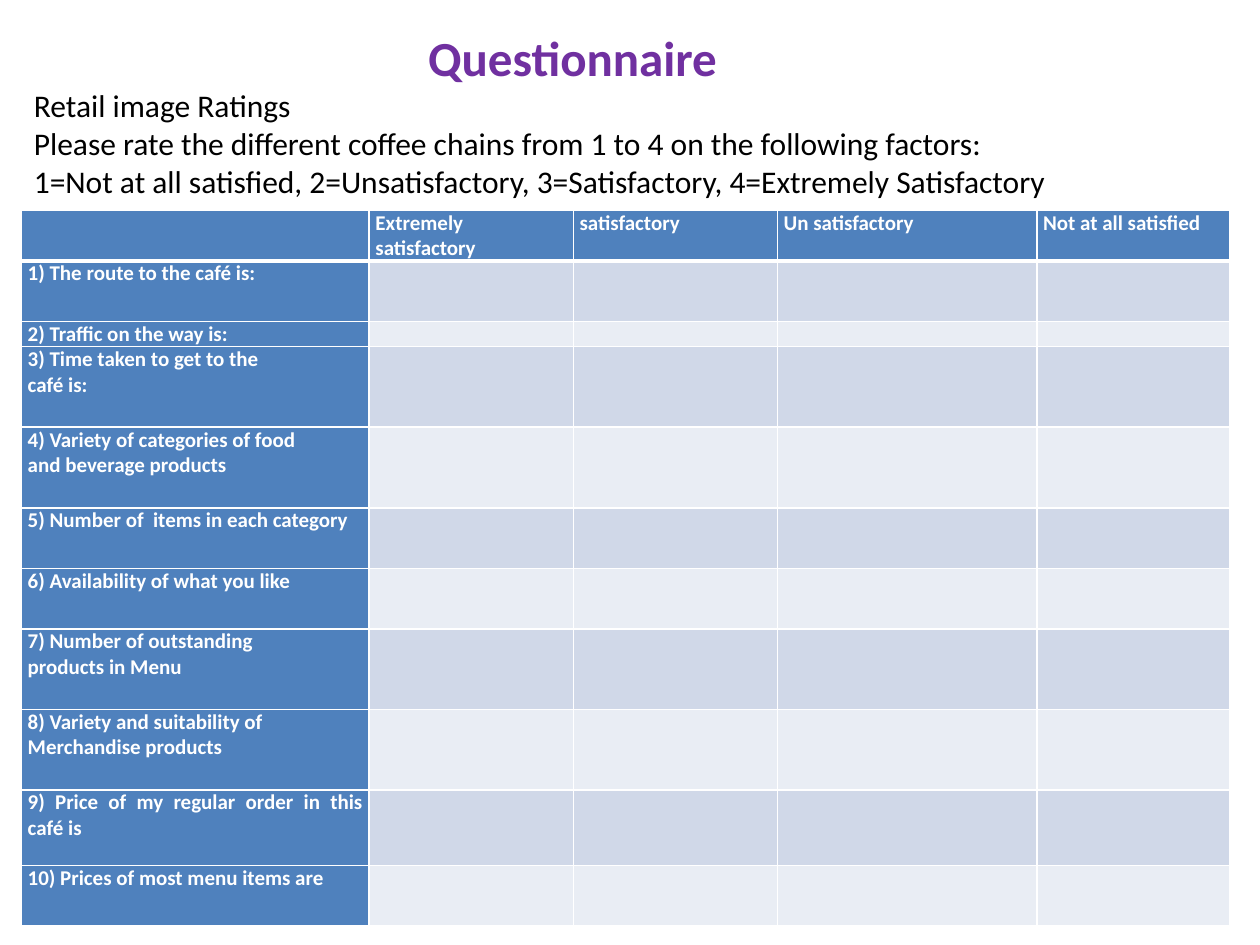
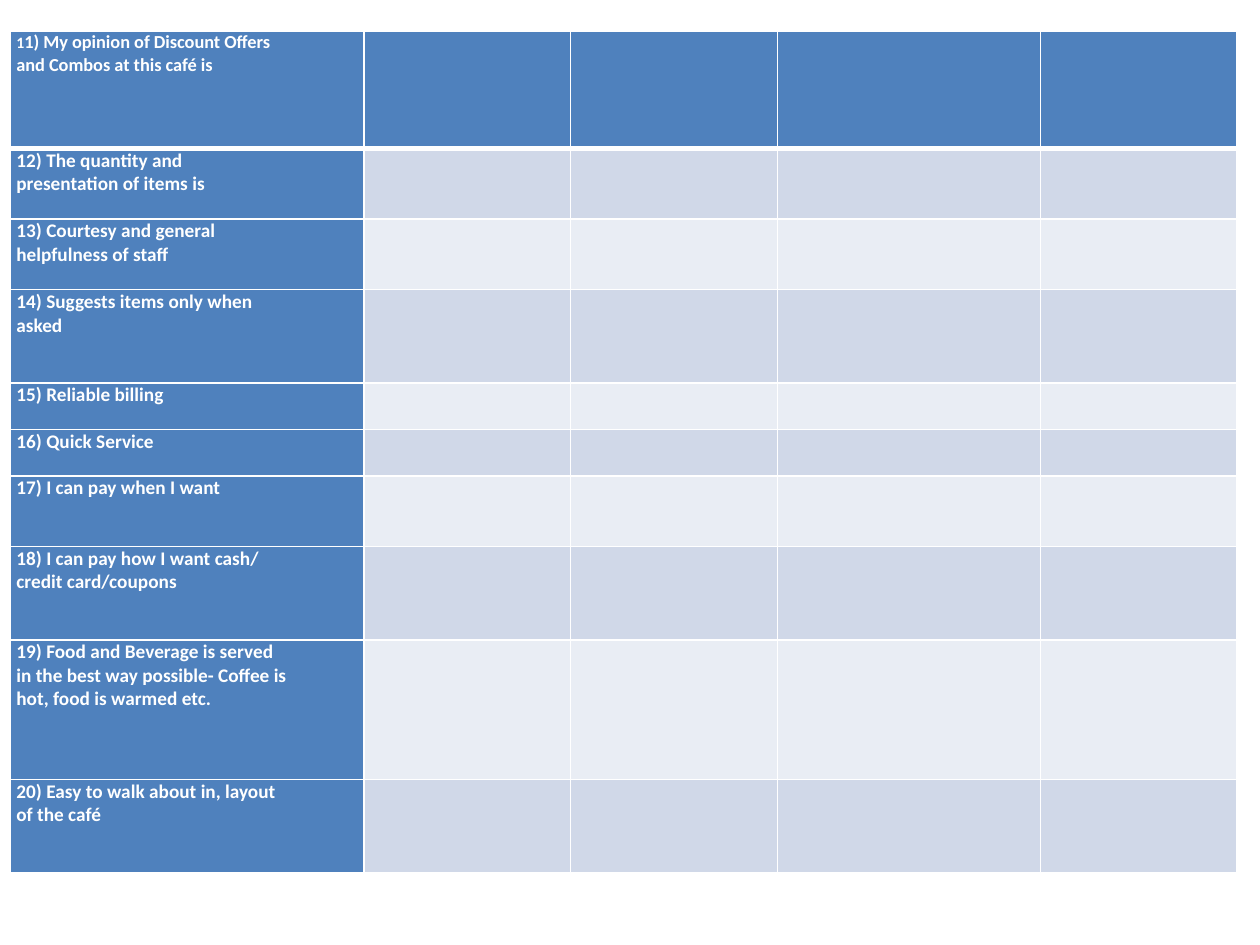
import pptx
import pptx.util
import pptx.dml.color
import pptx.enum.text
import pptx.oxml.ns
import lxml.etree

Inches, Pt = pptx.util.Inches, pptx.util.Pt
RGB = pptx.dml.color.RGBColor
ALIGN = pptx.enum.text.PP_ALIGN
qn = pptx.oxml.ns.qn

BLUE = RGB(0x4F, 0x81, 0xBD)
BANDS = [RGB(0xE9, 0xED, 0xF4), RGB(0xD0, 0xD8, 0xE8)]
WHITE = RGB(0xFF, 0xFF, 0xFF)
PURPLE = RGB(0x70, 0x30, 0xA0)
BLACK = RGB(0, 0, 0)
FACE = "Calibri"


def style(line, size, color, bold):
    for run in line.runs:
        font = run.font
        font.name, font.size, font.bold = FACE, Pt(size), bold
        font.color.rgb = color


def add_grid(slide, left, top, widths, heights, rows, head_size, size):
    """Add a rating table: blue header and label column, banded answer cells."""
    frame = slide.shapes.add_table(
        len(heights), len(widths), Inches(left), Inches(top),
        Inches(sum(widths)), Inches(sum(heights)))
    grid = frame.table
    for col, width in zip(grid.columns, widths):
        col.width = Inches(width)
    for r, height in enumerate(heights):
        grid.rows[r].height = Inches(height)
        for c in range(len(widths)):
            cell = grid.cell(r, c)
            cell.margin_left = cell.margin_right = Inches(0.05)
            cell.margin_top = cell.margin_bottom = 0
            props = cell._tc.get_or_add_tcPr()
            for side in "LRTB":
                thick = (r, side) in [(0, "B"), (1, "T")]
                edge = lxml.etree.SubElement(
                    props, qn("a:ln" + side), w=str(Pt(3 if thick else 1)))
                fill = lxml.etree.SubElement(edge, qn("a:solidFill"))
                lxml.etree.SubElement(fill, qn("a:srgbClr"), val=str(WHITE))
            cell.fill.solid()
            cell.fill.fore_color.rgb = BLUE if r == 0 or c == 0 else BANDS[r % 2]
            text = rows[r][c] if c < len(rows[r]) else ""
            cell.text_frame.text = text
            for line in cell.text_frame.paragraphs:
                line.alignment = ALIGN.JUSTIFY
                style(line, size if r else head_size, WHITE, True)
                if not text:
                    # Small end mark, so empty cells do not stretch the row
                    lxml.etree.SubElement(line._p, qn("a:endParaRPr"), sz="1000")
    return grid


deck = pptx.Presentation()
deck.slide_width, deck.slide_height = Inches(10), Inches(7.5)
blank = deck.slide_layouts[6]

# Slide 1: introduction and questions 1 to 10
slide = deck.slides.add_slide(blank)
intro = slide.shapes.add_textbox(
    Inches(0.17), Inches(0.17), Inches(9.75), Inches(1.48)).text_frame
intro.word_wrap = True
intro.text = "\n".join([
    "Questionnaire",
    "Retail image Ratings",
    "Please rate the different coffee chains from 1 to 4 on the following factors:",
    "1=Not at all satisfied, 2=Unsatisfactory, 3=Satisfactory, 4=Extremely Satisfactory",
])
title, *lines = intro.paragraphs
title._p.get_or_add_pPr().set("marL", str(Inches(3.13)))
style(title, 28, PURPLE, True)
for line in lines:
    style(line, 18, BLACK, False)

scale = ["", "Extremely satisfactory", "satisfactory", "Un satisfactory",
         "Not at all satisfied"]
asks = [
    "1) The route to the café is:",
    "2) Traffic on the way is:",
    "3) Time taken to get to the\ncafé is:",
    "4) Variety of categories of food\nand beverage products",
    "5) Number of  items in each category",
    "6) Availability of what you like",
    "7) Number of outstanding\nproducts in Menu",
    "8) Variety and suitability of\nMerchandise products",
    "9) Price of my regular order in this café is",
    "10) Prices of most menu items are",
]
add_grid(slide, 0.17, 1.67, [2.76, 1.62, 1.62, 2.06, 1.53],
         [0.39, 0.48, 0.2, 0.64, 0.64, 0.48, 0.48, 0.64, 0.64, 0.6, 0.48],
         [scale] + [[ask] for ask in asks], 12, 12)

# Slide 2: questions 11 to 20
slide = deck.slides.add_slide(blank)
asks = [
    "11) My opinion of Discount Offers\nand Combos at this café is",
    "12) The quantity and\npresentation of items is",
    "13) Courtesy and general\nhelpfulness of staff",
    "14) Suggests items only when\nasked",
    "15) Reliable billing",
    "16) Quick Service",
    "17) I can pay when I want",
    "18) I can pay how I want cash/\ncredit card/coupons",
    "19) Food and Beverage is served\nin the best way possible- Coffee is\nhot, food is warmed etc.",
    "20) Easy to walk about in, layout\nof the café",
]
grid = add_grid(slide, 0.08, 0.25, [2.81, 1.64, 1.64, 2.09, 1.56],
                [0.93, 0.56, 0.56, 0.74, 0.37, 0.37, 0.56, 0.74, 1.11, 0.74],
                [[ask] for ask in asks], 10.5, 11)

# The first digit of question 11 is smaller than the rest
line = grid.cell(0, 0).text_frame.paragraphs[0]
digit = line.runs[0]
rest = line.add_run()
digit.text, rest.text = digit.text[:1], digit.text[1:]
style(line, 10.5, WHITE, True)
digit.font.size = Pt(9)

deck.save("out.pptx")
